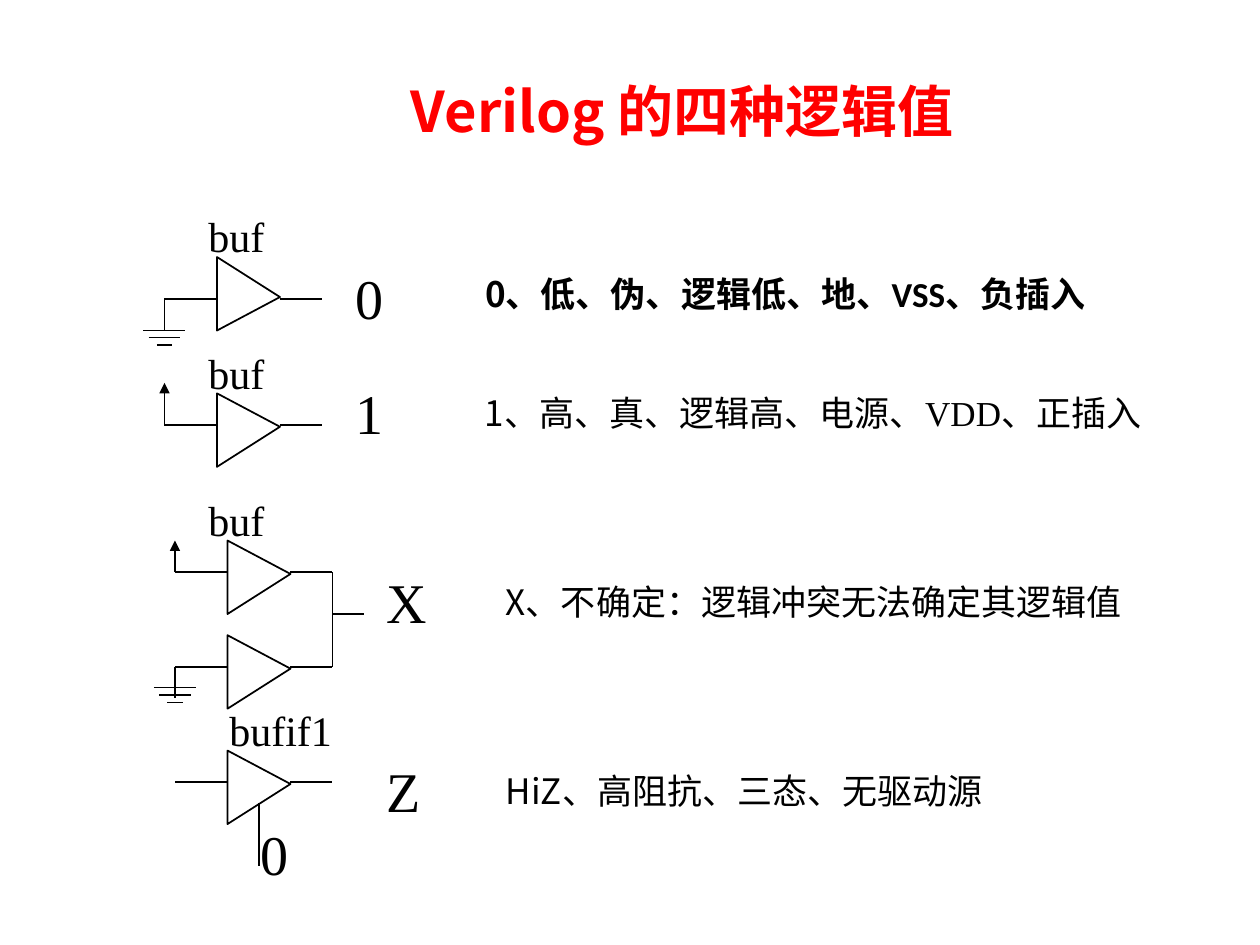
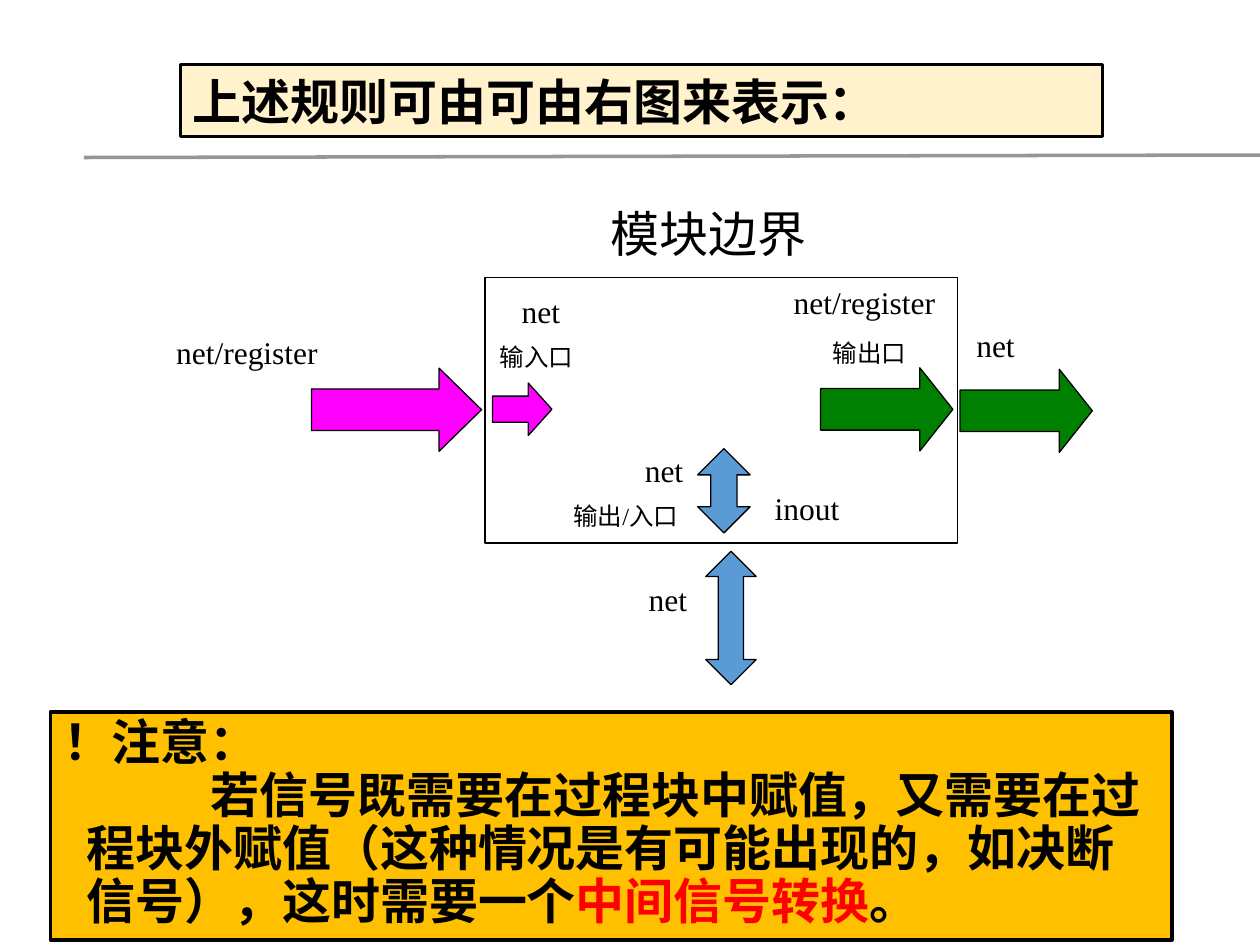
from dataclasses import dataclass

import pptx
import pptx.dml.color
import pptx.enum.shapes
import pptx.enum.text
import pptx.oxml.ns
import pptx.util
from lxml import etree

Pt = pptx.util.Pt
RGB = pptx.dml.color.RGBColor.from_string
qn = pptx.oxml.ns.qn
MSO = pptx.enum.shapes.MSO_SHAPE
ALIGN = pptx.enum.text.PP_ALIGN
ANCHOR = pptx.enum.text.MSO_ANCHOR
AUTO = pptx.enum.text.MSO_AUTO_SIZE


@dataclass(frozen=True)
class Theme:
    black: str = "000000"
    white: str = "FFFFFF"
    red: str = "FF0000"
    cream: str = "FFF2CC"
    amber: str = "FFC000"
    grey: str = "969696"
    magenta: str = "FF00FF"
    green: str = "008000"
    blue: str = "5B9BD5"
    serif: str = "Times New Roman"
    sans: str = "Arial"
    note: str = "Calibri"
    cjk: str = "Noto Sans CJK SC"
    title: float = 32
    heading: float = 28
    value: float = 32
    gate: float = 24
    meaning: float = 20
    net: float = 18
    port: float = 14
    thin: float = 0.75
    wire: float = 1
    frame: float = 2
    tight: float = 0.9
    cjk_leading: float = 0.95
    before: float = 0.625  # space before a label, as a share of its size


T = Theme()


@dataclass(frozen=True)
class Box:
    left: float
    top: float
    width: float
    height: float


@dataclass(frozen=True)
class Span:
    text: str
    font: str
    color: str = T.black


@dataclass(frozen=True)
class Label:
    text: str
    box: Box
    size: float


@dataclass(frozen=True)
class Gate:
    left: float
    wire_y: float
    drop: float = 18  # distance from the top of the gate to its wire
    tip: float = 0.455


@dataclass(frozen=True)
class Arrow:
    kind: MSO
    box: Box
    adjustments: tuple[float, float]
    color: str


def place(sp, box: Box) -> None:
    sp.left, sp.top = Pt(box.left), Pt(box.top)
    sp.width, sp.height = Pt(box.width), Pt(box.height)


def paint(sp, fill: str | None = None, line: str | None = None, width: float = T.thin) -> None:
    if fill:
        sp.fill.solid()
        sp.fill.fore_color.rgb = RGB(fill)
    else:
        sp.fill.background()
    if line:
        sp.line.color.rgb = RGB(line)
        sp.line.width = Pt(width)
    else:
        sp.line.fill.background()


def format_run(r, size: float, font: str, color: str = T.black, bold: bool = False) -> None:
    """Format a run; Chinese beside the serif face is set in the sans face."""
    r.font.size, r.font.name, r.font.bold = Pt(size), font, bold
    r.font.color.rgb = RGB(color)
    ea = etree.SubElement(r.font._element, qn("a:ea"))
    ea.set("typeface", T.sans if font == T.serif else font)


def write_spans(p, spans: list[Span], size: float, bold: bool = False) -> None:
    for span in spans:
        r = p.add_run()
        r.text = span.text
        format_run(r, size, span.font, span.color, bold)


def set_paragraph(p, align: ALIGN, spacing: float = 1, margin: float = 0,
                  indent: float = 0) -> None:
    """Align a paragraph and replace any inherited bullet and indent."""
    p.alignment, p.line_spacing, p.space_before = align, spacing, Pt(0)
    pPr = p._p.get_or_add_pPr()
    pPr.set("marL", str(Pt(margin)))
    pPr.set("indent", str(Pt(indent)))
    etree.SubElement(pPr, qn("a:buNone"))


def prepare_frame(sp, anchor: ANCHOR = ANCHOR.TOP):
    tf = sp.text_frame
    tf.word_wrap, tf.auto_size, tf.vertical_anchor = True, AUTO.NONE, anchor
    return tf


def fill_title(slide, text: str, box: Box, size: float, font: str, color: str,
               align: ALIGN, anchor: ANCHOR, spacing: float = 1):
    sp = slide.shapes.title
    place(sp, box)
    tf = prepare_frame(sp, anchor)
    tf.text = text
    set_paragraph(tf.paragraphs[0], align, spacing)
    format_run(tf.paragraphs[0].runs[0], size, font, color, True)
    return sp


def add_label(slide, label: Label, align: ALIGN = ALIGN.LEFT) -> None:
    box = label.box
    sp = slide.shapes.add_textbox(Pt(box.left), Pt(box.top), Pt(box.width), Pt(box.height))
    tf = prepare_frame(sp)
    tf.text = label.text
    p = tf.paragraphs[0]
    p.alignment, p.space_before = align, Pt(T.before * label.size)
    format_run(p.runs[0], label.size, T.serif)


def add_shape(slide, kind: MSO, box: Box):
    sp = slide.shapes.add_shape(kind, Pt(box.left), Pt(box.top), Pt(box.width), Pt(box.height))
    sp.shadow.inherit = False
    return sp


def add_line(slide, x1: float, y1: float, x2: float, y2: float, width: float = T.thin,
             color: str = T.black, arrow: bool = False) -> None:
    ln = slide.shapes.add_connector(pptx.enum.shapes.MSO_CONNECTOR.STRAIGHT,
                                    Pt(x1), Pt(y1), Pt(x2), Pt(y2))
    ln.line.color.rgb = RGB(color)
    ln.line.width = Pt(width)
    if arrow:
        etree.SubElement(ln.line._get_or_add_ln(), qn("a:tailEnd")).set("type", "triangle")
    etree.SubElement(ln._element.spPr, qn("a:effectLst"))


GATE_W, GATE_H = 36, 42
LEAD_IN, LEAD_OUT = 30, 24


def add_gate(slide, gate: Gate) -> None:
    """Draw a buffer pointing right, with its input and output wires."""
    top = gate.wire_y - gate.drop
    inset = (GATE_H - GATE_W) / 2
    sp = add_shape(slide, MSO.ISOSCELES_TRIANGLE,
                   Box(gate.left - inset, top + inset, GATE_H, GATE_W))
    sp.rotation = 90
    sp.adjustments[0] = gate.tip
    paint(sp, line=T.black, width=T.wire)
    right = gate.left + GATE_W
    for x1, x2 in ((right, right + LEAD_OUT), (gate.left, gate.left - LEAD_IN)):
        add_line(slide, x1, gate.wire_y, x2, gate.wire_y, T.wire)


def add_ground(slide, gate: Gate, first_bar: float) -> None:
    x, y = gate.left - LEAD_IN, gate.wire_y
    add_line(slide, x, y, x, y + 18)
    for i, half in enumerate((12, 9, 4.3)):
        bar_y = y + first_bar + i * 4.2
        add_line(slide, x - half, bar_y, x + half, bar_y)


def add_supply(slide, gate: Gate, height: float) -> None:
    x = gate.left - LEAD_IN
    add_line(slide, x, gate.wire_y, x, gate.wire_y - height, arrow=True)


def add_meaning(slide, spans: list[Span], box: Box) -> None:
    sp = add_shape(slide, MSO.RECTANGLE, box)
    paint(sp, T.white)
    p = prepare_frame(sp).paragraphs[0]
    set_paragraph(p, ALIGN.JUSTIFY, T.cjk_leading, 27, -27)
    write_spans(p, spans, T.meaning)


def build_logic_values(prs) -> None:
    slide = prs.slides.add_slide(prs.slide_layouts[1])
    tight_cjk = round(T.tight * T.cjk_leading, 2)
    fill_title(slide, "Verilog 的四种逻辑值", Box(162, 24, 456, 84), T.title, T.cjk, T.red,
               ALIGN.CENTER, ANCHOR.MIDDLE, tight_cjk)

    body = slide.placeholders[1]
    place(body, Box(270, 156, 402, 55.5))
    p = prepare_frame(body).paragraphs[0]
    set_paragraph(p, ALIGN.JUSTIFY, tight_cjk, 13.5, -13.5)
    write_spans(p, [Span("0、低、伪、逻辑低、地、", T.cjk), Span("VSS、负插入", T.note)],
                T.meaning, True)

    zero = Gate(124, 170.8, 23.9, 0.545)
    one = Gate(124, 242.8)
    clash_high, clash_low = Gate(130, 326.9), Gate(130, 381)
    tristate = Gate(130, 446.9)
    for gate in (zero, one, clash_high, clash_low, tristate):
        add_gate(slide, gate)
    add_ground(slide, zero, 18)
    add_ground(slide, clash_low, 12)
    add_supply(slide, one, 24)
    add_supply(slide, clash_high, 18)

    join_x = clash_high.left + GATE_W + LEAD_OUT
    join_y = (clash_high.wire_y + clash_low.wire_y) / 2 - 3
    add_line(slide, join_x, clash_high.wire_y, join_x, clash_low.wire_y)
    add_line(slide, join_x, join_y, join_x + 18, join_y)
    control_x = tristate.left + GATE_W / 2
    add_line(slide, control_x, 459, control_x, 495)

    for text, left, top, width in (("0", 196, 147, 48), ("1", 196, 213, 42),
                                   ("X", 214, 321, 42), ("Z", 214, 429, 48),
                                   ("0", 142, 465, 48)):
        add_label(slide, Label(text, Box(left, top, width, 46), T.value))
    for text, left, top in (("buf", 112, 117), ("buf", 112, 195), ("buf", 112, 279),
                            ("bufif1", 124, 399)):
        add_label(slide, Label(text, Box(left, top, 78, 36), T.gate))

    add_meaning(slide, [Span("1、高、真、逻辑高、电源、", T.cjk), Span("VDD、正插入", T.serif)],
                Box(270, 222, 402, 55.5))
    for text, top in (("X、不确定：逻辑冲突无法确定其逻辑值", 330),
                      ("HiZ、高阻抗、三态、无驱动源", 438)):
        add_meaning(slide, [Span(text, T.cjk)], Box(282, top, 402, 31.5))


def build_port_rules(prs) -> None:
    slide = prs.slides.add_slide(prs.slide_layouts[1])
    title = fill_title(slide, "上述规则可由可由右图来表示：", Box(103, 37, 527, 41), T.heading,
                       T.sans, T.black, ALIGN.LEFT, ANCHOR.TOP)
    paint(title, T.cream, T.black, T.frame)

    note = slide.placeholders[1]
    place(note, Box(28.8, 406.8, 640.8, 130.3))
    paint(note, T.amber, T.black, T.frame)
    tf = prepare_frame(note)
    warning = [
        (-13.5, [Span("！注意：", T.note)]),
        (71, [Span("若信号既需要在过程块中赋值，又需要在过程块外赋值"
                   "（这种情况是有可能出现的，如决断信号），这时需要一个", T.note),
              Span("中间信号转换", T.note, T.red), Span("。", T.note)]),
    ]
    for i, (indent, spans) in enumerate(warning):
        p = tf.add_paragraph() if i else tf.paragraphs[0]
        set_paragraph(p, ALIGN.LEFT, T.tight, 13.5, indent)
        write_spans(p, spans, T.heading, True)

    add_line(slide, 48, 90, 720, 88.6, T.frame, T.grey)
    module = add_shape(slide, MSO.RECTANGLE, Box(277.2, 158.4, 270, 152))
    paint(module, line=T.black)

    # The up-down arrow lists its head length before its shaft width.
    right, both = MSO.RIGHT_ARROW, MSO.UP_DOWN_ARROW
    for arrow in (
        Arrow(both, Box(403.3, 315, 28.8, 76.3), (0.282, 0.5), T.blue),
        Arrow(right, Box(548.6, 211, 75.6, 47.5), (0.5, 0.397), T.green),
        Arrow(right, Box(178, 210.4, 97.2, 47.5), (0.5, 0.511), T.magenta),
        Arrow(right, Box(468.9, 210.2, 75.6, 47.5), (0.5, 0.397), T.green),
        Arrow(right, Box(281.4, 218.9, 34, 30), (0.5, 0.45), T.magenta),
        Arrow(both, Box(398.7, 256.4, 30, 48.2), (0.319, 0.5), T.blue),
    ):
        sp = add_shape(slide, arrow.kind, arrow.box)
        sp.adjustments[0], sp.adjustments[1] = arrow.adjustments
        paint(sp, arrow.color, T.black)

    for label in (
        Label("模块边界", Box(342, 112.5, 140.4, 41), T.heading),
        Label("输入口", Box(278.6, 192.2, 118.8, 24.5), T.port),
        Label("输出口", Box(468.7, 189.4, 69.8, 24.5), T.port),
        Label("输出/入口", Box(320.4, 283, 92.2, 24.5), T.port),
        Label("net", Box(363.6, 327.6, 42, 29), T.net),
        Label("net", Box(291, 163.4, 75.6, 29), T.net),
        Label("net/register", Box(93.6, 186.5, 183.6, 29), T.net),
        Label("net", Box(550.8, 182.9, 75.6, 29), T.net),
        Label("net/register", Box(446.4, 158.4, 102.2, 29), T.net),
        Label("net", Box(361.4, 254.2, 42, 29), T.net),
        Label("inout", Box(435.6, 275.8, 58, 29), T.net),
    ):
        add_label(slide, label, ALIGN.JUSTIFY)


def main() -> None:
    prs = pptx.Presentation()
    prs.slide_width, prs.slide_height = Pt(720), Pt(540)
    build_logic_values(prs)
    build_port_rules(prs)
    prs.save("out.pptx")


if __name__ == "__main__":
    main()
